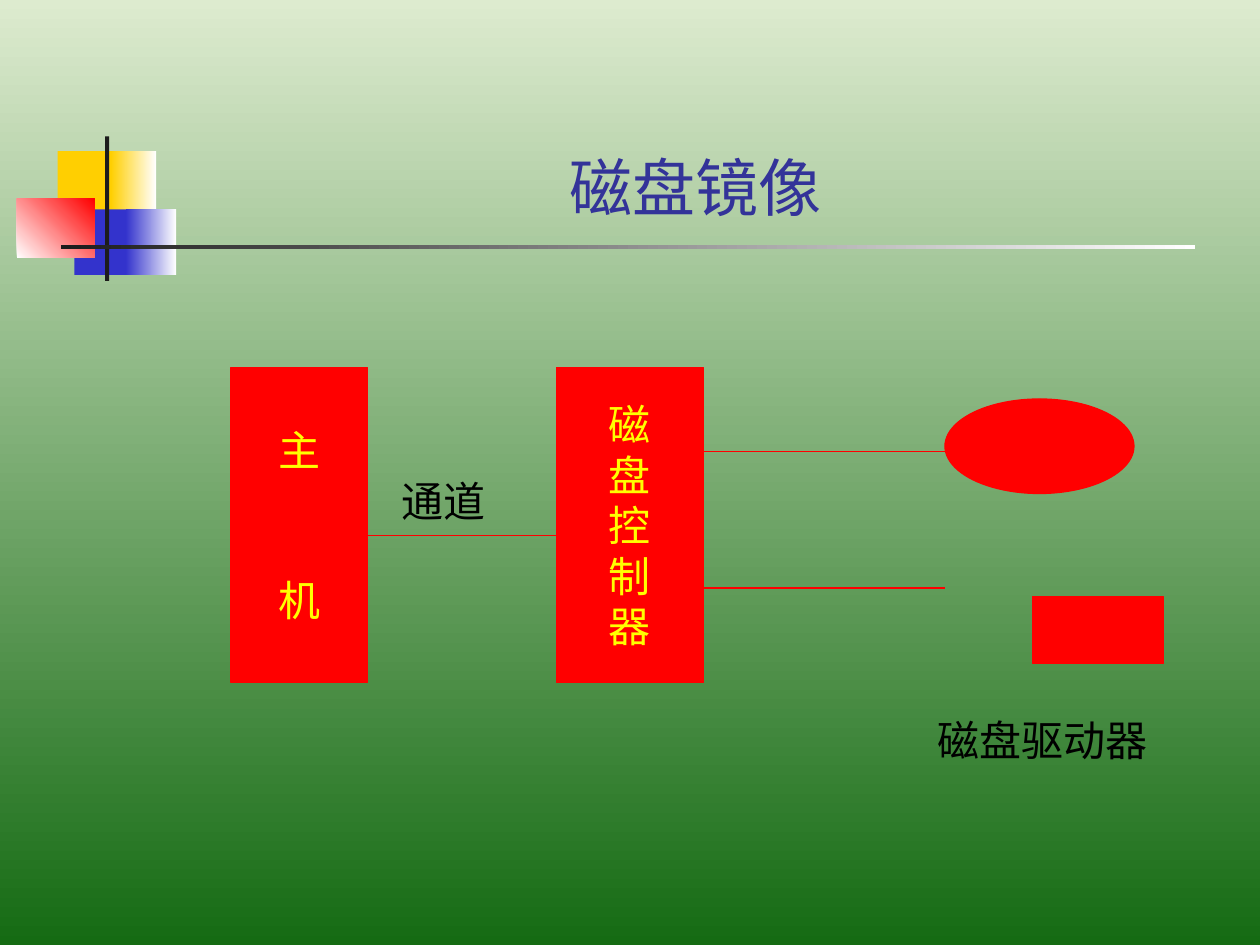
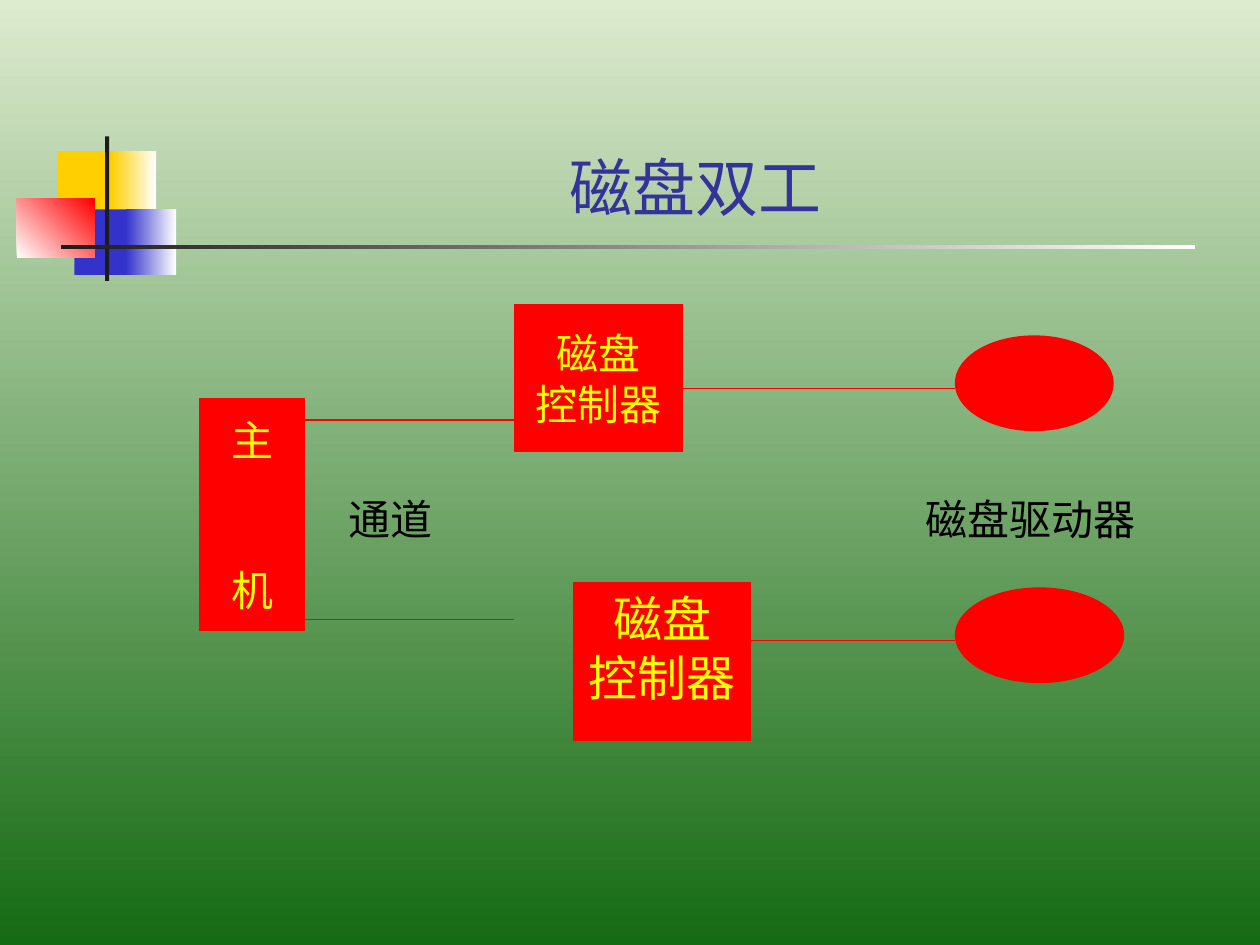
from lxml.etree import SubElement
from pptx import Presentation
from pptx.dml.color import RGBColor
from pptx.enum.shapes import MSO_CONNECTOR, MSO_SHAPE
from pptx.enum.text import MSO_ANCHOR, MSO_AUTO_SIZE, PP_ALIGN
from pptx.oxml.ns import qn
from pptx.util import Pt

HUES = {
    "pale": "DDEBCF", "green": "156B13", "gold": "FFCF01", "blue": "3333CC",
    "red": "FF0000", "dark": "1C1C1C", "white": "FFFFFF", "title": "333399",
    "yellow": "FFFF00", "black": "000000",
}
HUES = {name: RGBColor.from_string(code) for name, code in HUES.items()}


def write(shape, text, size=24, font="Times New Roman", hue="yellow",
          align=PP_ALIGN.CENTER, anchor=MSO_ANCHOR.MIDDLE, wrap=False,
          gap=0, lead=None):
    frame = shape.text_frame
    frame.text = text
    frame.auto_size = MSO_AUTO_SIZE.NONE
    frame.word_wrap = wrap
    frame.vertical_anchor = anchor
    for i, para in enumerate(frame.paragraphs):
        para.alignment = align
        if i:
            para.space_before = Pt(gap)
        if lead:
            para.line_spacing = lead
        para.font.size = Pt(size)
        para.font.name = font
        para.font.color.rgb = HUES[hue]


def paint(fill, hues, angle=0):
    if len(hues) == 1:
        fill.solid()
        fill.fore_color.rgb = HUES[hues[0]]
        return
    fill.gradient()
    fill.gradient_angle = angle
    for stop, hue in zip(fill.gradient_stops, hues):
        stop.color.rgb = HUES[hue]


deck = Presentation()
deck.slide_width, deck.slide_height = Pt(720), Pt(540)
layout = deck.slide_layouts[5]
paint(layout.background.fill, ["pale", "green"], 270)

# Squares and rules beside the title: left, top, width, height, hues, angle
DECOR = [
    (33, 86.4, 34.5, 37.4, ["gold"], 0),
    (63.4, 86.4, 25.8, 37.4, ["gold", "white"], 0),
    (42.5, 119.7, 33.2, 37.4, ["blue"], 0),
    (72, 119.7, 28.7, 37.4, ["blue", "white"], 0),
    (9.7, 113.6, 44.4, 33.7, ["white", "red"], 45),
    (60, 78, 2.4, 82.6, ["dark"], 0),
    (34.8, 140, 648, 2.6, ["dark", "white"], 0),
]

# Boxes: kind, left, top, width, height, text, text format
# Wires: left, right, y
# Labels: left, top, width, text
RECT, OVAL = MSO_SHAPE.RECTANGLE, MSO_SHAPE.OVAL
HOST = ("主\n机", {"gap": 57})
NONE = ("", {})
SLIDES = [
    {
        "title": "磁盘镜像",
        "boxes": [
            (RECT, 132, 210, 78, 180, *HOST),
            (RECT, 318, 210, 84, 180, "磁\n盘\n控\n制\n器", {}),
            (OVAL, 540, 228, 108, 54, *NONE),
            (RECT, 590, 341, 75, 38, *NONE),
        ],
        "wires": [(210, 318, 306), (402, 540, 336), (402, 540, 258)],
        "labels": [(528.5, 408, 134, "磁盘驱动器"), (222.5, 271.5, 62, "通道")],
    },
    {
        "title": "磁盘双工",
        "boxes": [
            (RECT, 114, 228, 60, 132, *HOST),
            (RECT, 294, 174, 96, 84, "磁盘\n控制器", {}),
            (RECT, 328, 333, 101, 90, "磁盘\n控制器",
             {"size": 28, "anchor": MSO_ANCHOR.TOP}),
            (OVAL, 546, 192, 90, 54, *NONE),
            (OVAL, 546, 336, 96, 54, *NONE),
        ],
        "wires": [(174, 294, 240), (174, 294, 354),
                  (390, 546, 222), (390, 546, 366)],
        "labels": [(522, 282, 134, "磁盘驱动器"), (192, 282, 62, "通道")],
    },
]

for index, plan in enumerate(SLIDES):
    slide = deck.slides.add_slide(layout)
    shapes = slide.shapes

    # Decoration is drawn once, then moved to the shared layout
    if index == 0:
        for *place, hues, angle in DECOR:
            part = shapes.add_shape(RECT, *map(Pt, place))
            part.shadow.inherit = False
            part.line.fill.background()
            paint(part.fill, hues, angle)
            layout.shapes.element.append(part.element)

    # Title
    title = shapes.title
    title.left, title.top = Pt(90.7), Pt(16.5)
    title.width, title.height = Pt(613.5), Pt(115.2)
    write(title, plan["title"], size=36, font="Karla", hue="title",
          anchor=MSO_ANCHOR.BOTTOM, wrap=True)

    # Host, controllers and drives
    for kind, *place, text, style in plan["boxes"]:
        box = shapes.add_shape(kind, *map(Pt, place))
        box.shadow.inherit = False
        paint(box.fill, ["red"])
        box.line.color.rgb = HUES["red"]
        box.line.width = Pt(0.75)
        if text:
            write(box, text, **style)

    # Wires
    for left, right, y in plan["wires"]:
        wire = shapes.add_connector(MSO_CONNECTOR.STRAIGHT,
                                    Pt(left), Pt(y), Pt(right), Pt(y))
        wire.line.color.rgb = HUES["red"]
        wire.line.width = Pt(0.75)
        SubElement(wire.element.spPr, qn("a:effectLst"))

    # Labels
    for left, top, width, text in plan["labels"]:
        label = shapes.add_textbox(Pt(left), Pt(top), Pt(width), Pt(33))
        write(label, text, hue="black", align=PP_ALIGN.LEFT,
              anchor=MSO_ANCHOR.TOP, lead=0.9)

deck.save("out.pptx")
